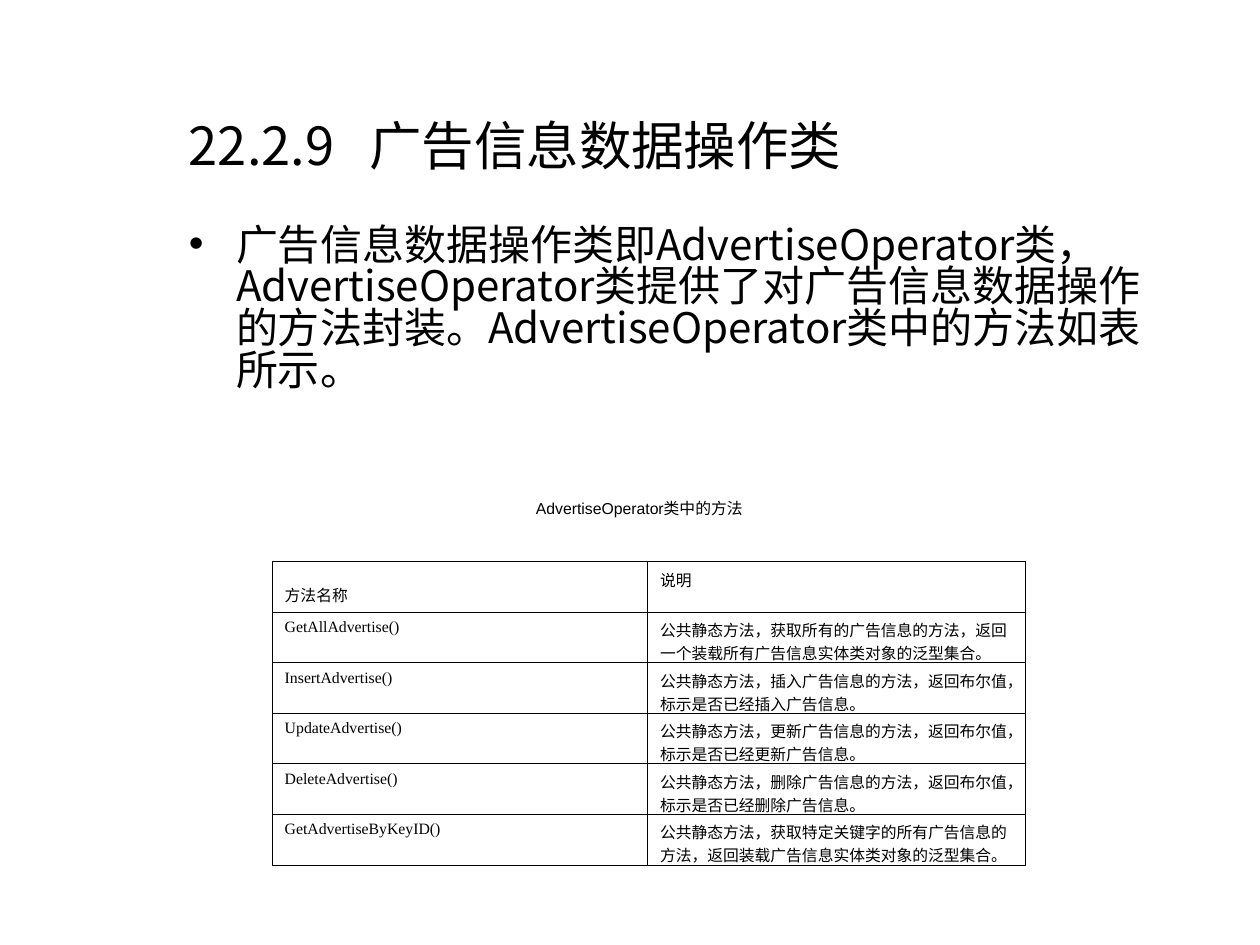
from lxml import etree
from pptx import Presentation
from pptx.dml.color import RGBColor
from pptx.enum.text import MSO_ANCHOR, PP_ALIGN
from pptx.oxml.ns import qn
from pptx.util import Pt

TOP, MID, LOW = MSO_ANCHOR.TOP, MSO_ANCHOR.MIDDLE, MSO_ANCHOR.BOTTOM
LEFT, CENTER = PP_ALIGN.LEFT, PP_ALIGN.CENTER

TITLE = "22.2.9\t广告信息数据操作类"
BODY = (
    "广告信息数据操作类即AdvertiseOperator类，"
    "AdvertiseOperator类提供了对广告信息数据操作的方法封装。"
    "AdvertiseOperator类中的方法如表所示。"
)
LABEL = "AdvertiseOperator类中的方法"
ROWS = [
    ("方法名称", "说明"),
    ("GetAllAdvertise()", "公共静态方法，获取所有的广告信息的方法，返回一个装载所有广告信息实体类对象的泛型集合。"),
    ("InsertAdvertise()", "公共静态方法，插入广告信息的方法，返回布尔值，标示是否已经插入广告信息。"),
    ("UpdateAdvertise()", "公共静态方法，更新广告信息的方法，返回布尔值，标示是否已经更新广告信息。"),
    ("DeleteAdvertise()", "公共静态方法，删除广告信息的方法，返回布尔值，标示是否已经删除广告信息。"),
    ("GetAdvertiseByKeyID()", "公共静态方法，获取特定关键字的所有广告信息的方法，返回装载广告信息实体类对象的泛型集合。"),
]
COLS = (214.5, 216)
ROW_H = 28.8
THEME = {
    "ink": RGBColor(0, 0, 0),
    "title": ("Noto Sans CJK SC", 30),
    "body": ("Noto Sans CJK SC", 24),
    "label": ("Arial", 9),
    "cell": ("Times New Roman", 9),
}


def style(para, role):
    """Give a paragraph the font of its role."""
    font = para.font
    font.name, size = THEME[role]
    font.size = Pt(size)
    font.color.rgb = THEME["ink"]


def add_text(slide, text, role, box, anchor=TOP, align=LEFT, wrap=True):
    """Add a text box and return its paragraph, not yet styled."""
    frame = slide.shapes.add_textbox(*map(Pt, box)).text_frame
    frame.word_wrap = wrap
    frame.vertical_anchor = anchor
    para = frame.paragraphs[0]
    para.text = text
    para.alignment = align
    return para


def add_tab(para, pos):
    """Set one left tab stop."""
    tabs = etree.SubElement(para._p.get_or_add_pPr(), qn("a:tabLst"))
    etree.SubElement(tabs, qn("a:tab"), pos=str(Pt(pos)), algn="l")


def add_bullet(para, hang):
    """Hang a paragraph on a round bullet."""
    props = para._p.get_or_add_pPr()
    props.set("marL", str(Pt(hang)))
    props.set("indent", str(-Pt(hang)))
    etree.SubElement(props, qn("a:buFont"), typeface="Arial")
    etree.SubElement(props, qn("a:buChar"), char="•")


def add_edges(cell):
    """Draw a thin line on all four sides of a cell."""
    props = cell._tc.get_or_add_tcPr()
    for spot, side in enumerate(("lnL", "lnR", "lnT", "lnB")):
        line = etree.Element(qn("a:" + side), w=str(Pt(0.45)))
        fill = etree.SubElement(line, qn("a:solidFill"))
        etree.SubElement(fill, qn("a:srgbClr"), val=str(THEME["ink"]))
        props.insert(spot, line)


def add_grid(slide, left, top):
    """Add the table of methods."""
    size = sum(COLS), ROW_H * len(ROWS)
    grid = slide.shapes.add_table(
        len(ROWS), len(COLS), *map(Pt, (left, top, *size))
    ).table
    for col, width in zip(grid.columns, COLS):
        col.width = Pt(width)
    for r, row in enumerate(ROWS):
        for c, text in enumerate(row):
            cell = grid.cell(r, c)
            cell.text = text
            cell.fill.background()
            cell.vertical_anchor = LOW if r == c == 0 else TOP
            add_edges(cell)
            style(cell.text_frame.paragraphs[0], "cell")
    grid.first_row = grid.horz_banding = False


def main():
    """Build the slide and save it."""
    deck = Presentation()
    deck.slide_width, deck.slide_height = Pt(720), Pt(540)
    slide = deck.slides.add_slide(deck.slide_layouts[6])

    title = add_text(slide, TITLE, "title", (100.8, 54, 558, 57.6), MID)
    add_tab(title, 103)
    style(title, "title")

    body = add_text(slide, BODY, "body", (100.8, 126, 559.5, 365))
    body.line_spacing = 0.83
    add_bullet(body, 27)
    style(body, "body")

    label = add_text(slide, LABEL, "label", (298, 281.5, 134.6, 18), MID, CENTER, False)
    style(label, "label")

    add_grid(slide, 155.5, 321)
    deck.save("out.pptx")


if __name__ == "__main__":
    main()
